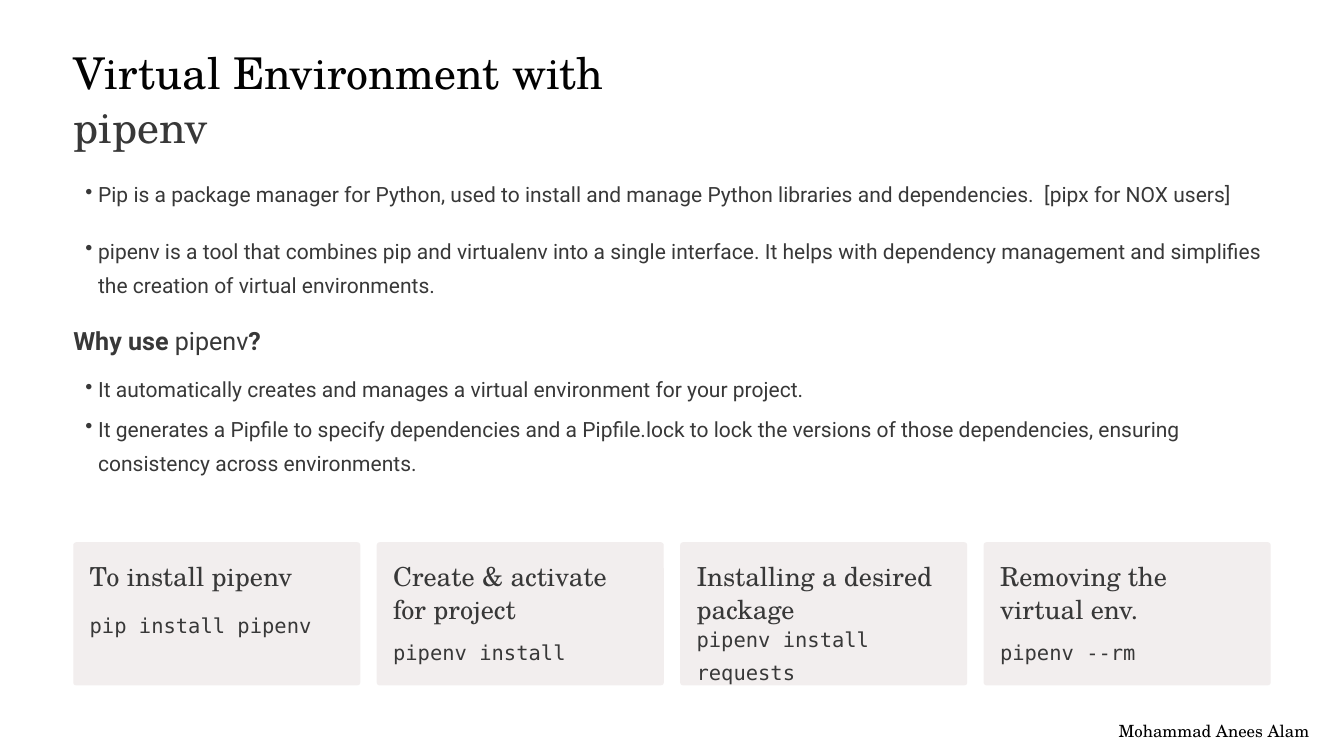
from lxml.etree import SubElement
from pptx import Presentation
from pptx.dml.color import RGBColor
from pptx.enum.shapes import MSO_SHAPE
from pptx.enum.text import MSO_ANCHOR, PP_ALIGN
from pptx.oxml.ns import qn
from pptx.util import Cm, Pt

WHITE = RGBColor(0xFF, 0xFF, 0xFF)
BLACK = RGBColor(0x00, 0x00, 0x00)
INK = RGBColor(0x02, 0x02, 0x02)
GREY = RGBColor(0x38, 0x38, 0x38)
CARD = RGBColor(0xF2, 0xEE, 0xEE)
SERIF, SANS, MONO = "TeX Gyre Schola", "Roboto", "DejaVu Sans Mono"

prs = Presentation()
prs.slide_width, prs.slide_height = Cm(50.8), Cm(28.58)
slide = prs.slides.add_slide(prs.slide_layouts[6])
slide.background.fill.solid()
slide.background.fill.fore_color.rgb = WHITE


def add_text(x, y, w, h, runs, face, size, line, color=GREY, bullet=False):
    """Add a one-paragraph text box without margins; return the paragraph."""
    frame = slide.shapes.add_textbox(Cm(x), Cm(y), Cm(w), Cm(h)).text_frame
    frame.word_wrap = True
    frame.vertical_anchor = MSO_ANCHOR.MIDDLE
    frame.margin_left = frame.margin_right = 0
    frame.margin_top = frame.margin_bottom = 0
    para = frame.paragraphs[0]
    para.line_spacing = Pt(line)
    if bullet:
        para.level = 1
        props = para._p.get_or_add_pPr()
        props.set("marL", str(Cm(0.94)))
        props.set("indent", str(Cm(-0.48)))
        SubElement(props, qn("a:buChar"), char="•")
    font = para.font
    font.name, font.size, font.color.rgb = face, Pt(size), color
    for text in runs:
        para.add_run().text = text
    return para


# Title
left, wide = 2.77, 45.29
title = add_text(left, 2.64, 24.54, 2.13, ["Virtual Environment with ", "pipenv"],
                 SERIF, 46.9, 58.1)
title.runs[0].font.color.rgb = INK

# Bullets
points = [
    (5.82, 2.74, "Pip is a package manager for Python, used to install and manage "
     "Python libraries and dependencies.  [pipx for NOX users]"),
    (8.59, 2.74, "pipenv is a tool that combines pip and virtualenv into a single "
     "interface. It helps with dependency management and simplifies the creation "
     "of virtual environments."),
    (13.84, 1.45, "It automatically creates and manages a virtual environment "
     "for your project."),
    (15.32, 2.74, "It generates a Pipfile to specify dependencies and a Pipfile.lock "
     "to lock the versions of those dependencies, ensuring consistency across "
     "environments."),
]
for top, high, text in points:
    add_text(left, top, wide, high, [text], SANS, 22.5, 36.2, bullet=True)

# Subheading
head = add_text(left, 11.84, wide, 1.63, ["Why use ", "pipenv", "?"], SANS, 26.9, 43.8)
for run in head.runs[::2]:
    run.font.bold = True

# Command cards: heading, its height, command, its top, width and height
cards = [
    ("To install pipenv", 1.24, "pip install pipenv", 22.68, 9.6, 1.57),
    ("Create & activate for project", 2.49, "pipenv install", 23.7, 9.6, 1.57),
    ("Installing a desired package", 2.49, "pipenv install requests", 23.27, 10.21, 2.72),
    ("Removing the virtual env.", 2.49, "pipenv --rm", 23.7, 9.6, 1.57),
]
for i, (name, tall, code, top, span, high) in enumerate(cards):
    x = left + i * 11.47
    card = slide.shapes.add_shape(MSO_SHAPE.ROUNDED_RECTANGLE,
                                  Cm(x), Cm(20.5), Cm(10.85), Cm(5.41))
    card.adjustments[0] = 0.02
    card.shadow.inherit = False
    card.fill.solid()
    card.fill.fore_color.rgb = CARD
    card.line.fill.background()
    add_text(x + 0.62, 21.13, 9.6, tall, [name], SERIF, 28.1, 35)
    add_text(x + 0.62, top, span, high, [code], MONO, 21.9, 35.6)

# Author
author = add_text(41.63, 27.33, 8.51, 0.69, ["Mohammad Anees Alam"], SERIF, 18, 18, BLACK)
author.alignment = PP_ALIGN.CENTER

prs.save("out.pptx")
